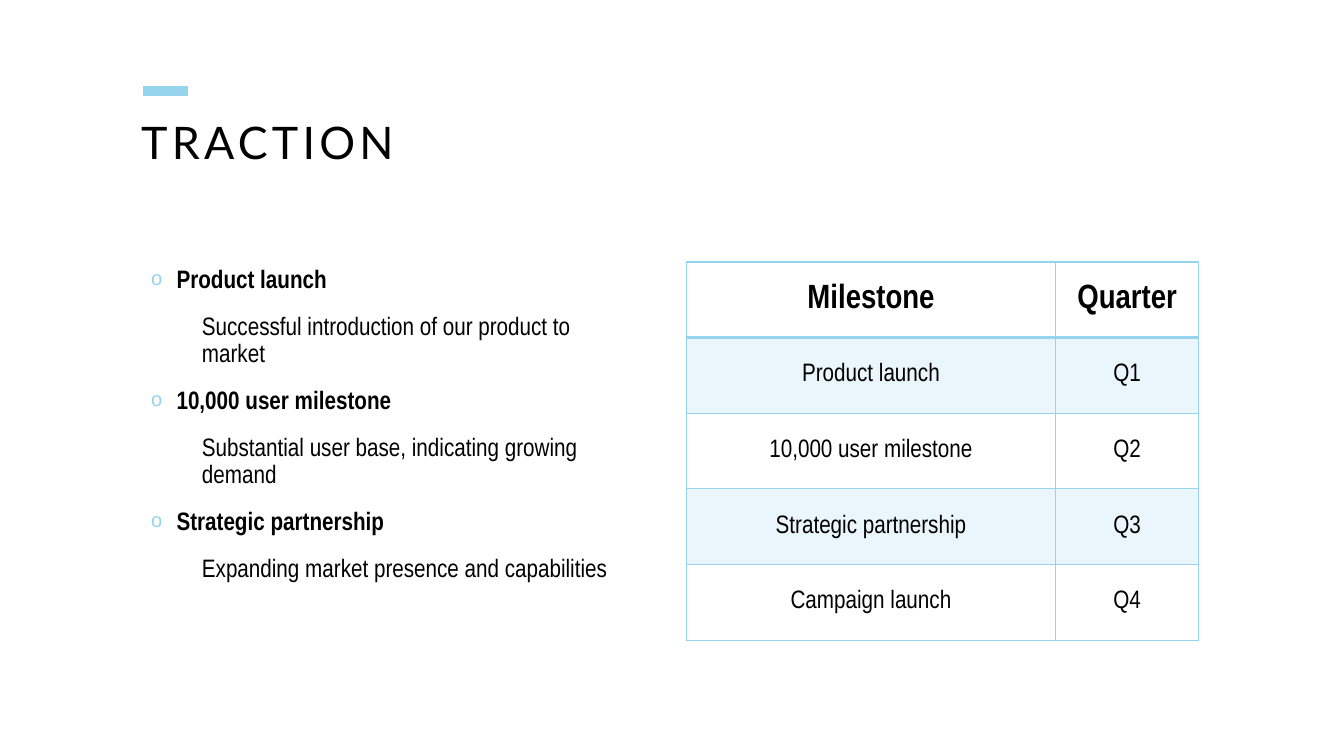
from dataclasses import dataclass

from lxml import etree
from pptx import Presentation, util as u
from pptx.dml.color import RGBColor
from pptx.enum import shapes, text
from pptx.oxml import ns


@dataclass(frozen=True)
class Theme:
    accent: str = "96D3ED"
    ink: str = "000000"
    heading_font: str = "Lato"
    body_font: str = "Arial Narrow"
    bullet_font: str = "Arial"
    title_size: int = 32
    header_size: int = 24
    body_size: int = 18


MILESTONES = [
    ("Product launch", "Successful introduction of our product to market"),
    ("10,000 user milestone", "Substantial user base, indicating growing demand"),
    ("Strategic partnership", "Expanding market presence and capabilities"),
]
SCHEDULE = [
    ("Milestone", "Quarter"),
    ("Product launch", "Q1"),
    ("10,000 user milestone", "Q2"),
    ("Strategic partnership", "Q3"),
    ("Campaign launch", "Q4"),
]


def add_xml(parent, tag, **attributes):
    return etree.SubElement(parent, ns.qn(tag), attributes)


class SlideBuilder:
    def __init__(self, slide, theme):
        self.slide = slide
        self.theme = theme

    def style_font(self, paragraph, size, name=None, bold=False):
        font = paragraph.font
        font.name = name or self.theme.body_font
        font.size = u.Pt(size)
        font.bold = bold
        font.color.rgb = RGBColor.from_string(self.theme.ink)

    def add_accent_line(self, left, right, top, weight):
        line = self.slide.shapes.add_connector(
            shapes.MSO_CONNECTOR.STRAIGHT, u.Cm(left), u.Cm(top), u.Cm(right), u.Cm(top))
        line.line.color.rgb = RGBColor.from_string(self.theme.accent)
        line.line.width = u.Pt(weight)
        add_xml(line._element.spPr, "a:effectLst")

    def add_text_frame(self, left, top, width, height):
        box = self.slide.shapes.add_textbox(u.Cm(left), u.Cm(top), u.Cm(width), u.Cm(height))
        box.text_frame.word_wrap = True
        return box.text_frame

    def add_title(self, wording, left, top, width, height):
        frame = self.add_text_frame(left, top, width, height)
        frame.margin_left = frame.margin_right = frame.margin_top = frame.margin_bottom = 0
        paragraph = frame.paragraphs[0]
        paragraph.line_spacing = 0.9
        self.style_font(paragraph, self.theme.title_size, self.theme.heading_font)
        run = paragraph.add_run()
        run.text = wording
        run._r.get_or_add_rPr().set("spc", "300")

    def add_bullet(self, paragraph):
        properties = paragraph._p.get_or_add_pPr()
        color = add_xml(properties, "a:buClr")
        add_xml(color, "a:srgbClr", val=self.theme.accent)
        add_xml(properties, "a:buSzPct", val="80000")
        add_xml(properties, "a:buFont", typeface=self.theme.bullet_font)
        add_xml(properties, "a:buChar", char="o")

    def add_milestone_list(self, milestones, left, top, width, height):
        frame = self.add_text_frame(left, top, width, height)
        lines = [(level, line) for pair in milestones for level, line in enumerate(pair)]
        for index, (level, line) in enumerate(lines):
            paragraph = frame.add_paragraph() if index else frame.paragraphs[0]
            paragraph.text = line
            paragraph.level = level
            paragraph.line_spacing = 0.9
            paragraph.space_before = u.Pt(14)
            indent = u.Cm(0.64)
            properties = paragraph._p.get_or_add_pPr()
            properties.set("marL", str(indent * (level + 1)))
            properties.set("indent", str(0 if level else -indent))
            if level == 0:
                self.add_bullet(paragraph)
            self.style_font(paragraph, self.theme.body_size, bold=level == 0)

    def add_borders(self, cell, **weights):
        """Draw the sides L, R, T and B, in that order, with weights in points."""
        properties = cell._tc.get_or_add_tcPr()
        for side, weight in weights.items():
            line = add_xml(properties, f"a:ln{side}", w=str(u.Pt(weight)))
            add_xml(add_xml(line, "a:solidFill"), "a:srgbClr", val=self.theme.accent)

    def fill_cell(self, cell, tinted):
        if not tinted:
            cell.fill.background()
            return
        cell.fill.solid()
        cell.fill.fore_color.rgb = RGBColor.from_string(self.theme.accent)
        color = cell._tc.tcPr.find(ns.qn("a:solidFill")).find(ns.qn("a:srgbClr"))
        add_xml(color, "a:alpha", val="20000")

    def add_schedule(self, rows, left, top, column_widths, height):
        table = self.slide.shapes.add_table(
            len(rows), len(column_widths), u.Cm(left), u.Cm(top),
            u.Cm(sum(column_widths)), u.Cm(height)).table
        table.first_row = table.horz_banding = False
        for column, width in zip(table.columns, column_widths):
            column.width = u.Cm(width)
        for row_index, row in enumerate(rows):
            is_header = row_index == 0
            for column_index, wording in enumerate(row):
                cell = table.cell(row_index, column_index)
                cell.vertical_anchor = text.MSO_ANCHOR.MIDDLE
                self.add_borders(cell, L=1, R=1, T=2 if row_index == 1 else 1,
                                 B=2 if is_header else 1)
                self.fill_cell(cell, tinted=row_index % 2 == 1)
                paragraph = cell.text_frame.paragraphs[0]
                paragraph.text = wording
                paragraph.alignment = text.PP_ALIGN.CENTER
                size = self.theme.header_size if is_header else self.theme.body_size
                self.style_font(paragraph, size, bold=is_header)


def main():
    presentation = Presentation()
    presentation.slide_width = u.Cm(33.87)
    presentation.slide_height = u.Cm(19.05)
    slide = presentation.slides.add_slide(presentation.slide_layouts[6])
    builder = SlideBuilder(slide, Theme())
    builder.add_accent_line(left=3.61, right=4.75, top=2.29, weight=7)
    builder.add_title("TRACTION", left=3.56, top=3.05, width=27.28, height=2.54)
    builder.add_milestone_list(MILESTONES, left=3.56, top=6.6, width=12.7, height=9.53)
    builder.add_schedule(SCHEDULE, left=17.3, top=6.6, column_widths=(9.3, 3.61), height=9.53)
    presentation.save("out.pptx")


if __name__ == "__main__":
    main()
